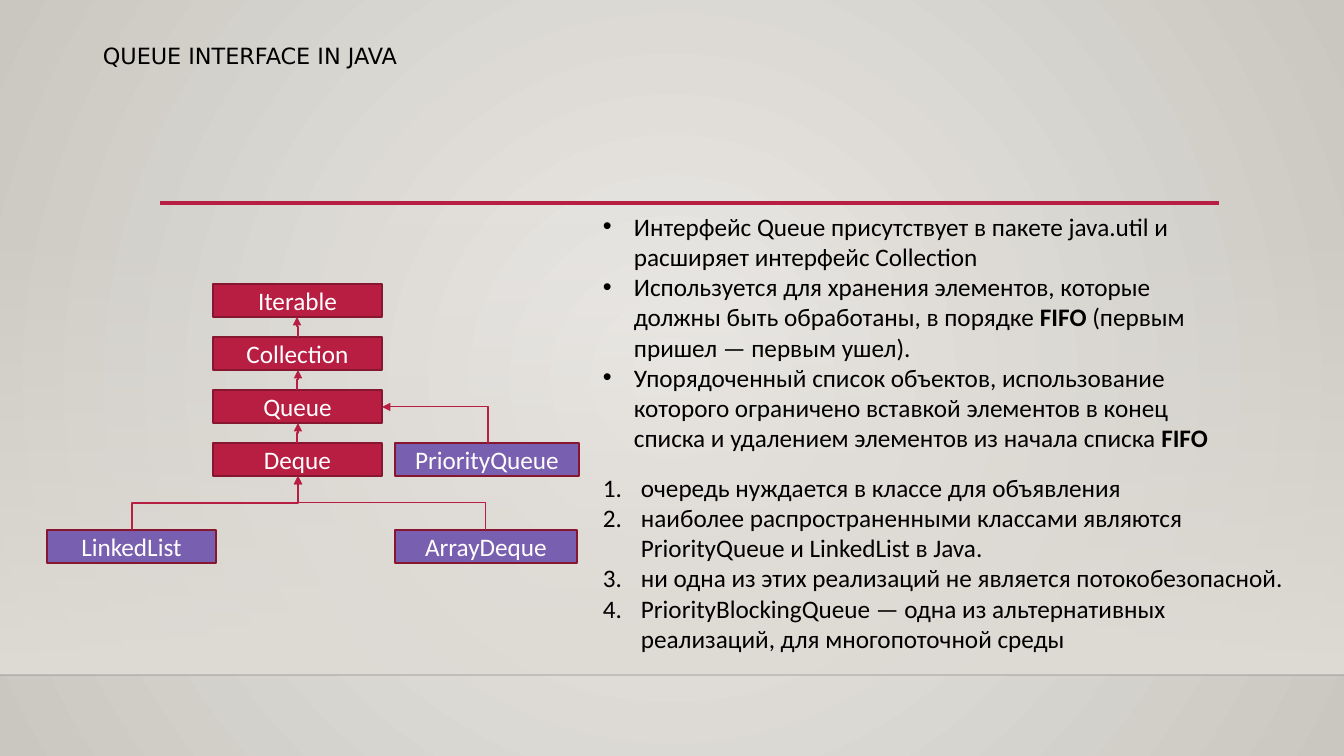
"""Build the slide on the queue interface with its class tree and notes."""
from lxml.etree import SubElement as Sub
from pptx import Presentation
from pptx.dml.color import RGBColor as Rgb
from pptx.enum.shapes import MSO_CONNECTOR as Link, MSO_SHAPE as Form
from pptx.enum.text import MSO_ANCHOR as Anchor, PP_ALIGN as Align
from pptx.oxml.ns import qn
from pptx.util import Pt

PX = 914400 / 100.8
RED = Rgb(0xB7, 0x1E, 0x42)
WINE = Rgb(0x87, 0x16, 0x31)
PLUM = Rgb(0x79, 0x5F, 0xAF)
SAND = Rgb(0xDF, 0xDB, 0xD5)
LIGHT = Rgb(0xEC, 0xEA, 0xE7)
STONE = Rgb(0xCA, 0xC7, 0xC1)
BLACK = Rgb(0, 0, 0)
WHITE = Rgb(0xFF, 0xFF, 0xFF)

BODY = {"name": "Calibri", "size": Pt(18)}
HEAD = {"name": "DejaVu Sans", "size": Pt(16)}
DOT = ("a:buChar", {"char": "•"}, 31)
NUM = ("a:buAutoNum", {"type": "arabicPeriod"}, 38)

FACTS = [
    "Интерфейс Queue присутствует в пакете java.util и расширяет интерфейс Collection",
    "Используется для хранения элементов, которые должны быть обработаны, "
    "в порядке *FIFO* (первым пришел — первым ушел).",
    "Упорядоченный список объектов, использование которого ограничено вставкой "
    "элементов в конец списка и удалением элементов из начала списка *FIFO*",
]
NOTES = [
    "очередь нуждается в классе для объявления",
    "наиболее распространенными классами являются PriorityQueue и LinkedList в Java.",
    "ни одна из этих реализаций не является потокобезопасной.",
    "PriorityBlockingQueue — одна из альтернативных реализаций, для многопоточной среды",
]
CHAIN = ["Iterable", "Collection", "Queue", "Deque"]
LEFT, TOP, STEP, WIDE, HIGH = 213, 284, 53, 169, 33
MID = 298


def px(*nums):
    return [round(n * PX) for n in nums]


def apply(item, vals):
    for key, val in vals.items():
        setattr(item, key, val)


def write(para, text, font, color):
    for i, part in enumerate(text.split("*")):
        if part:
            run = para.add_run()
            run.text = part
            apply(run.font, {**font, "bold": i % 2 == 1})
            run.font.color.rgb = color


def fade(item, percent):
    Sub(item, qn("a:alpha"), val=str(percent * 1000))


def blend(fill, first, last):
    fill.gradient()
    for stop, color in zip(fill.gradient_stops, (first, last)):
        stop.color.rgb = color


def paint(slide):
    blend(slide.background.fill, LIGHT, STONE)
    grad = slide.element.find(".//" + qn("a:gradFill"))
    grad.remove(grad.find(qn("a:lin")))
    ring = Sub(grad, qn("a:path"), path="circle")
    Sub(ring, qn("a:fillToRect"), dict.fromkeys("ltrb", "50000"))


def band(slide, *area):
    shape = slide.shapes.add_shape(Form.RECTANGLE, *px(*area))
    shape.shadow.inherit = False
    shape.line.fill.background()
    blend(shape.fill, SAND, SAND)
    shape.fill.gradient_angle = 270
    fade(shape.element.find(".//" + qn("a:srgbClr")), 0)


def line(slide, kind, ends, color, width):
    link = slide.shapes.add_connector(kind, *px(*ends))
    link.line.color.rgb = color
    link.line.width = Pt(width)
    Sub(link.element.spPr, qn("a:effectLst"))
    return link


def bend(slide, x1, y1, x2, y2, form="bentConnector3"):
    cx, cy = (x1 + x2) / 2, (y1 + y2) / 2
    dx, dy = (x2 - x1) / 2, (y1 - y2) / 2
    link = line(slide, Link.ELBOW, (cx - dy, cy - dx, cx + dy, cy + dx), RED, 0.75)
    props = link.element.spPr
    props.find(qn("a:xfrm")).set("rot", "16200000")
    props.find(qn("a:prstGeom")).set("prst", form)
    Sub(props.find(qn("a:ln")), qn("a:tailEnd"), type="triangle")


def box(slide, text, fill, *area):
    shape = slide.shapes.add_shape(Form.RECTANGLE, *px(*area))
    shape.shadow.inherit = False
    shape.fill.solid()
    shape.fill.fore_color.rgb = fill
    shape.line.color.rgb = WINE
    shape.line.width = Pt(1.25)
    frame = shape.text_frame
    apply(frame, {"word_wrap": True, "vertical_anchor": Anchor.MIDDLE})
    para = frame.paragraphs[0]
    para.alignment = Align.CENTER
    write(para, text, BODY, WHITE)


def block(slide, area, texts, font, mark=None, space=1.0):
    frame = slide.shapes.add_textbox(*px(*area)).text_frame
    frame.word_wrap = True
    for i, text in enumerate(texts):
        para = frame.add_paragraph() if i else frame.paragraphs[0]
        para.line_spacing = space
        write(para, text, font, BLACK)
        if mark:
            tag, vals, gap = mark
            props = para._p.get_or_add_pPr()
            inset = px(gap)[0]
            apply_xml = {"marL": str(inset), "indent": str(-inset)}
            props.attrib.update(apply_xml)
            Sub(props, qn("a:buFont"), typeface="Arial")
            Sub(props, qn(tag), vals)


def tree(slide):
    for i, name in enumerate(CHAIN):
        box(slide, name, RED, LEFT, TOP + i * STEP, WIDE, HIGH)
    base = TOP + 3 * STEP
    box(slide, "PriorityQueue", PLUM, 395, base, 184, HIGH)
    box(slide, "LinkedList", PLUM, 47, 530, WIDE, HIGH)
    box(slide, "ArrayDeque", PLUM, 395, 530, 182, HIGH)
    for x in (132, 486):
        bend(slide, x, 530, MID, base + HIGH)
    bend(slide, 488, base, LEFT + WIDE, 407, "bentConnector2")
    for i, (x1, x2) in enumerate([(MID, MID - 1), (MID - 1, MID), (MID - 1, MID)]):
        y = TOP + (i + 1) * STEP
        bend(slide, x1, y, x2, y - STEP + HIGH)


def main():
    deck = Presentation()
    apply(deck, dict(zip(("slide_width", "slide_height"), px(1344, 756))))
    slide = deck.slides.add_slide(deck.slide_layouts[6])
    paint(slide)
    band(slide, 0, 223, 1344, 452)
    floor = line(slide, Link.STRAIGHT, (0, 675, 1344, 675), BLACK, 1)
    fade(floor.element.find(".//" + qn("a:srgbClr")), 20)
    line(slide, Link.STRAIGHT, (160, 203, 1219, 203), RED, 2.5)
    block(slide, (93, 40, 1148, 61), ["QUEUE INTERFACE IN JAVA"], HEAD, space=0.9)
    block(slide, (593, 206, 652, 254), FACTS, BODY, DOT)
    tree(slide)
    block(slide, (593, 467, 717, 194), NOTES, BODY, NUM)
    deck.save("out.pptx")


if __name__ == "__main__":
    main()
